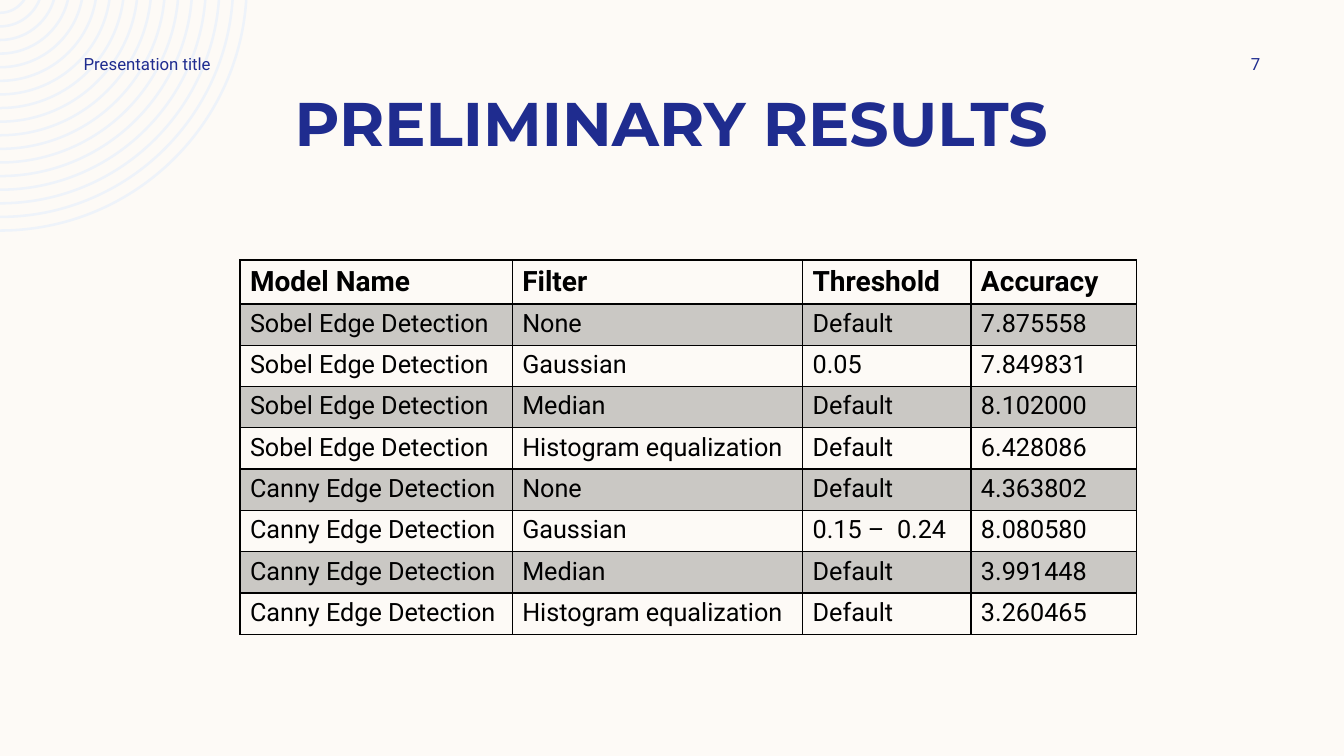
"""Build the preliminary results slide with its accuracy table."""
import math

from lxml import etree
from pptx import Presentation
from pptx.dml.color import RGBColor
from pptx.enum.text import MSO_ANCHOR, PP_ALIGN
from pptx.oxml.ns import qn
from pptx.util import Inches, Pt

LEFT, CENTER, RIGHT = PP_ALIGN.LEFT, PP_ALIGN.CENTER, PP_ALIGN.RIGHT
MIDDLE, BOTTOM = MSO_ANCHOR.MIDDLE, MSO_ANCHOR.BOTTOM
COLORS = {"paper": "FDFAF6", "navy": "1F2C8F", "ring": "EEF3FA", "black": "000000"}


def add_text(page, text, place, size, font, align, anchor, side_insets, bold=False):
    box = page.shapes.add_textbox(*[Inches(length) for length in place])
    frame = box.text_frame
    frame.word_wrap = True
    frame.vertical_anchor = anchor
    frame.margin_left, frame.margin_right = [Inches(inset) for inset in side_insets]
    para = frame.paragraphs[0]
    para.text = text
    para.alignment = align
    para.font.size = Pt(size)
    para.font.name = font
    para.font.bold = bold
    para.font.color.rgb = RGBColor.from_string(COLORS["navy"])


def add_border(cell, side, width):
    line = etree.SubElement(cell._tc.get_or_add_tcPr(), qn(f"a:ln{side}"), w=str(Pt(width)))
    fill = etree.SubElement(line, qn("a:solidFill"))
    etree.SubElement(fill, qn("a:srgbClr"), val=COLORS["black"])


deck = Presentation()
deck.slide_width, deck.slide_height = Inches(13.33), Inches(7.5)
page = deck.slides.add_slide(deck.slide_layouts[6])
page.background.fill.solid()
page.background.fill.fore_color.rgb = RGBColor.from_string(COLORS["paper"])

RING_COUNT, RING_STEP, RING_WIDTH = 17, 0.135, 0.025
OUTER_RADIUS, CENTER_RISE = 2.46, 0.16
builder = page.shapes.build_freeform(0, 0)
for ring in range(RING_COUNT):
    outer = OUTER_RADIUS - ring * RING_STEP
    outline = []
    for radius in (outer, outer - RING_WIDTH):
        start = math.asin(CENTER_RISE / radius)
        reach = radius * 4 / 3 * math.tan((math.pi / 2 - start) / 4)
        right, bottom = radius * math.cos(start), radius - CENTER_RISE
        arc = [(right, 0),
               (right - reach * math.sin(start), reach * math.cos(start)),
               (reach, bottom),
               (0, bottom)]
        outline += arc if radius == outer else arc[::-1]
    points = [(Inches(x), Inches(y)) for x, y in outline]
    builder.move_to(*points[0])
    builder.add_line_segments(points[1:], close=True)
rings = builder.convert_to_shape()
rings.shadow.inherit = False
rings.fill.solid()
rings.fill.fore_color.rgb = RGBColor.from_string(COLORS["ring"])
rings.line.fill.background()

segments = list(rings._element.iter(qn("a:lnTo")))
for first in range(0, len(segments), 7):
    for arc_start in (first, first + 4):
        arc_segments = segments[arc_start:arc_start + 3]
        curve = etree.Element(qn("a:cubicBezTo"))
        arc_segments[0].addprevious(curve)
        for segment in arc_segments:
            curve.append(segment[0])
            segment.getparent().remove(segment)

add_text(page, "PRELIMINARY RESULTS", (0.83, 0.8, 11.66, 0.83), 44, "Montserrat",
         CENTER, BOTTOM, (0.1, 0.1), bold=True)
add_text(page, "Presentation title", (0.83, 0.5, 3.5, 0.27), 12, "Roboto", LEFT, MIDDLE, (0, 0))
add_text(page, "7", (11.42, 0.5, 1.08, 0.27), 12, "Roboto", RIGHT, MIDDLE, (0.1, 0))

RESULTS = [
    ("Model Name", "Filter", "Threshold", "Accuracy"),
    ("Sobel Edge Detection", "None", "Default", "7.875558"),
    ("Sobel Edge Detection", "Gaussian", "0.05", "7.849831"),
    ("Sobel Edge Detection", "Median", "Default", "8.102000"),
    ("Sobel Edge Detection", "Histogram equalization", "Default", "6.428086"),
    ("Canny Edge Detection", "None", "Default", "4.363802"),
    ("Canny Edge Detection", "Gaussian", "0.15 –  0.24", "8.080580"),
    ("Canny Edge Detection", "Median", "Default", "3.991448"),
    ("Canny Edge Detection", "Histogram equalization", "Default", "3.260465"),
]
COLUMN_WIDTHS = (2.7, 2.88, 1.67, 1.64)
ROW_HEIGHT = 0.41
table = page.shapes.add_table(
    len(RESULTS), len(COLUMN_WIDTHS), Inches(2.38), Inches(2.58),
    Inches(sum(COLUMN_WIDTHS)), Inches(ROW_HEIGHT * len(RESULTS))).table
for column, width in zip(table.columns, COLUMN_WIDTHS):
    column.width = Inches(width)

for row_index, values in enumerate(RESULTS):
    table.rows[row_index].height = Inches(ROW_HEIGHT)
    is_header = row_index == 0
    for column_index, value in enumerate(values):
        cell = table.cell(row_index, column_index)
        para = cell.text_frame.paragraphs[0]
        para.text = value
        para.font.size = Pt(20 if is_header else 18)
        para.font.name = "Roboto"
        para.font.bold = is_header
        para.font.color.rgb = RGBColor.from_string(COLORS["black"])
        for side in "LRTB":
            under_header = (row_index, side) in ((0, "B"), (1, "T"))
            add_border(cell, side, 2 if under_header else 1)
        if row_index % 2:
            cell.fill.solid()
            cell.fill.fore_color.rgb = RGBColor.from_string(COLORS["black"])
            shade = cell._tc.tcPr.find(qn("a:solidFill")).find(qn("a:srgbClr"))
            etree.SubElement(shade, qn("a:alpha"), val="20000")
        else:
            cell.fill.background()

deck.save("out.pptx")
